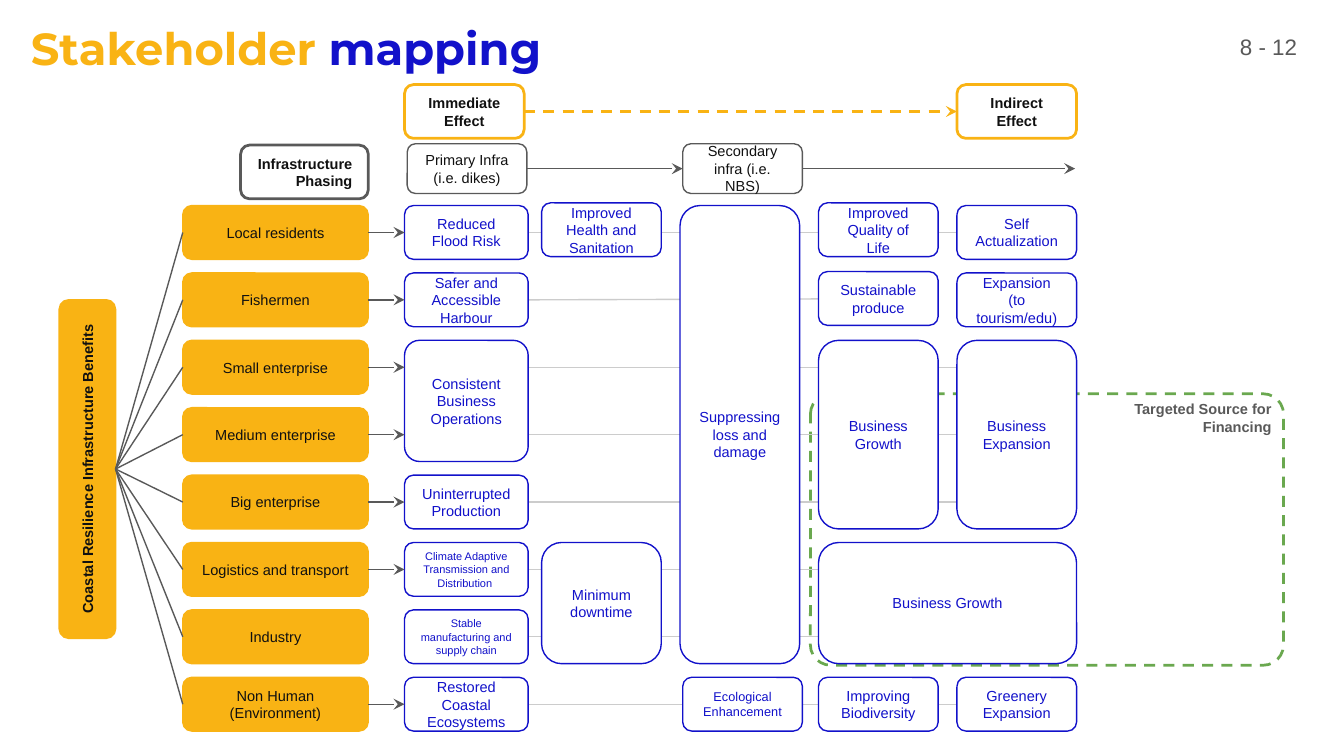
from lxml.etree import SubElement
from pptx import Presentation
from pptx.dml.color import RGBColor
from pptx.enum.dml import MSO_LINE
from pptx.enum.shapes import MSO_CONNECTOR, MSO_SHAPE
from pptx.enum.text import MSO_ANCHOR, MSO_AUTO_SIZE, PP_ALIGN
from pptx.oxml.ns import qn
from pptx.util import Inches, Pt

THEME = {
    "amber": "F9B314", "blue": "1211CA", "ink": "101010", "grey": "595959",
    "pale": "CCCCCC", "green": "6AA84F", "white": "FFFFFF",
    "title_font": "Montserrat", "body_font": "Arial",
    "title": 24, "page": 12, "body": 7.8, "small": 6.8, "tiny": 5.9,
    "thin": 0.73, "border": 0.75, "thick": 1.47,
}

STAKEHOLDERS = [
    "Local residents", "Fishermen", "Small enterprise", "Medium enterprise",
    "Big enterprise", "Logistics and transport", "Industry", "Non Human (Environment)",
]
ROWS_WITHOUT_ARROW = {6}

# text, column, first row, row count, extra settings
BENEFITS = [
    ("Reduced Flood Risk", 0, 0, 1, {}),
    ("Safer and Accessible Harbour", 0, 1, 1, {}),
    ("Consistent Business Operations", 0, 2, 2, {"corner": 0.124}),
    ("Uninterrupted Production", 0, 4, 1, {}),
    ("Climate Adaptive Transmission and Distribution ", 0, 5, 1, {"size": "tiny"}),
    ("Stable manufacturing and supply chain", 0, 6, 1, {"size": "tiny"}),
    ("Restored Coastal Ecosystems", 0, 7, 1, {}),
    ("Improved Health and Sanitation", 1, 0, 1, {"shift": (0, -0.02)}),
    ("Minimum downtime", 1, 5, 2, {}),
    ("Suppressing loss and damage", 2, 0, 7, {}),
    ("Ecological Enhancement", 2, 7, 1, {"size": "small", "shift": (0.02, 0)}),
    ("Improved Quality of Life", 3, 0, 1, {"shift": (0, -0.02)}),
    ("Sustainable produce", 3, 1, 1, {"shift": (0, -0.01)}),
    ("Business Growth", 3, 2, 3, {}),
    ("Business Growth", 3, 5, 2, {"last_column": 4}),
    ("Improving Biodiversity", 3, 7, 1, {}),
    ("Self Actualization", 4, 0, 1, {}),
    ("Expansion (to tourism/edu)", 4, 1, 1, {}),
    ("Business Expansion", 4, 2, 3, {}),
    ("Greenery Expansion", 4, 7, 1, {}),
]

# text, position, line colour, line width, bold, alignment
HEADERS = [
    ("Infrastructure Phasing", (1.79, 1.08, 0.95, 0.4), "grey", "thick", True, PP_ALIGN.RIGHT),
    ("Immediate Effect", (3.01, 0.63, 0.89, 0.4), "amber", "thick", True, PP_ALIGN.CENTER),
    ("Indirect Effect", (7.12, 0.63, 0.89, 0.4), "amber", "thick", True, PP_ALIGN.CENTER),
    ("Primary Infra (i.e. dikes)", (3.03, 1.07, 0.89, 0.37), "grey", "thin", False, PP_ALIGN.CENTER),
    ("Secondary infra (i.e. NBS)", (5.08, 1.07, 0.89, 0.37), "grey", "thin", False, PP_ALIGN.CENTER),
]
EFFECT_MIDDLE = 0.63 + 0.4 / 2
PHASE_MIDDLE = 1.07 + 0.37 / 2

ROW_TOP, ROW_HEIGHT = 1.53, 0.4
ROW_PITCH = (5.04 - ROW_TOP) / (len(STAKEHOLDERS) - 1)
COLUMNS = [(3.01, 0.92), (4.03, 0.89), (5.06, 0.89), (6.09, 0.89), (7.12, 0.89)]
STAKEHOLDER_LEFT, STAKEHOLDER_WIDTH = 1.36, 1.38
STAKEHOLDER_RIGHT = STAKEHOLDER_LEFT + STAKEHOLDER_WIDTH
BAR_EDGE = (0.86, 3.49)
GRID_LEFT = sum(COLUMNS[0])
LEFT, BOTTOM, RIGHT = 1, 2, 3


def color(name):
    return RGBColor.from_string(THEME[name])


def row_middle(row):
    return ROW_TOP + row * ROW_PITCH + ROW_HEIGHT / 2


def set_format(target, values):
    for name, value in values.items():
        setattr(target, name, value)


def add_run(paragraph, text, ink="ink", size="body", bold=False, font="body_font"):
    run = paragraph.add_run()
    run.text = text
    set_format(run.font, {"name": THEME[font], "size": Pt(THEME[size]), "bold": bold})
    run.font.color.rgb = color(ink)


def set_text(shape, text, align=PP_ALIGN.CENTER, anchor=MSO_ANCHOR.MIDDLE, **font):
    inset = Inches(0.1)
    set_format(shape.text_frame, {
        "word_wrap": True, "vertical_anchor": anchor, "margin_left": inset,
        "margin_right": inset, "margin_top": inset, "margin_bottom": inset})
    paragraph = shape.text_frame.paragraphs[0]
    paragraph.alignment = align
    add_run(paragraph, text, **font)


def add_box(slide, position, line, fill=None, width="border", corner=0.167):
    shape = slide.shapes.add_shape(MSO_SHAPE.ROUNDED_RECTANGLE, *map(Inches, position))
    shape.shadow.inherit = False
    shape.adjustments[0] = corner
    if fill:
        shape.fill.solid()
        shape.fill.fore_color.rgb = color(fill)
    else:
        shape.fill.background()
    shape.line.color.rgb = color(line)
    shape.line.width = Pt(THEME[width])
    return shape


def add_line(slide, start, finish, ink="grey", width="thin", arrow=False,
             dashed=False, begin=None, end=None):
    """Draw a straight connector; begin and end are optional (shape, site) joints."""
    line = slide.shapes.add_connector(MSO_CONNECTOR.STRAIGHT, *map(Inches, start + finish))
    line.line.color.rgb = color(ink)
    line.line.width = Pt(THEME[width])
    if dashed:
        line.line.dash_style = MSO_LINE.DASH
    if arrow:
        SubElement(line.line._get_or_add_ln(), qn("a:tailEnd"), type="stealth")
    SubElement(line._element.spPr, qn("a:effectLst"))
    if begin:
        line.begin_connect(*begin)
    if end:
        line.end_connect(*end)
    return line


def add_title(slide):
    title = slide.shapes.title
    set_format(title, dict(zip(("left", "top", "width", "height"),
                               map(Inches, (0.23, 0.19, 10.22, 0.38)))))
    set_format(title.text_frame, {
        "margin_left": 0, "margin_right": 0, "margin_top": 0, "margin_bottom": 0,
        "vertical_anchor": MSO_ANCHOR.TOP, "word_wrap": True,
        "auto_size": MSO_AUTO_SIZE.SHAPE_TO_FIT_TEXT})
    paragraph = title.text_frame.paragraphs[0]
    set_format(paragraph, {"alignment": PP_ALIGN.LEFT, "line_spacing": 0.94})
    for text, ink in (("Stakeholder ", "amber"), ("mapping", "blue")):
        add_run(paragraph, text, ink, "title", True, "title_font")


def add_benefits(slide):
    """Draw the benefit boxes and return the one-row boxes by (column, row)."""
    single_row = {}
    for text, column, row, rows, extra in BENEFITS:
        shift_x, shift_y = extra.get("shift", (0, 0))
        left = COLUMNS[column][0]
        width = sum(COLUMNS[extra.get("last_column", column)]) - left
        height = (rows - 1) * ROW_PITCH + ROW_HEIGHT
        position = (left + shift_x, ROW_TOP + row * ROW_PITCH + shift_y, width, height)
        box = add_box(slide, position, "blue", "white", corner=extra.get("corner", 0.167))
        set_text(box, text, ink="blue", size=extra.get("size", "body"))
        if rows == 1:
            single_row[column, row] = box
    return single_row


def add_rows(slide, frame, bar, benefits):
    for row, name in enumerate(STAKEHOLDERS):
        middle = row_middle(row)
        box = add_box(slide, (STAKEHOLDER_LEFT, middle - ROW_HEIGHT / 2,
                              STAKEHOLDER_WIDTH, ROW_HEIGHT), "amber", "amber")
        set_text(box, name)
        first = benefits.get((0, row))
        last_column = 3 if row == 1 else 4
        last = benefits.get((last_column, row))

        guide = add_line(slide, (GRID_LEFT, middle), (sum(COLUMNS[last_column]), middle), "pale",
                         begin=first and (first, RIGHT), end=last and (last, RIGHT))
        frame._element.addnext(guide._element)  # behind the boxes

        if row not in ROWS_WITHOUT_ARROW:
            add_line(slide, (STAKEHOLDER_RIGHT, middle), (COLUMNS[0][0], middle), arrow=True,
                     begin=(box, RIGHT), end=first and (first, LEFT))
        spoke = add_line(slide, BAR_EDGE, (STAKEHOLDER_LEFT, middle),
                         begin=(bar, BOTTOM), end=(box, LEFT))
        # The bar is turned, so its bottom site lies on the right-hand edge
        set_format(spoke, {"begin_x": Inches(BAR_EDGE[0]), "begin_y": Inches(BAR_EDGE[1])})


def add_headers(slide):
    boxes = []
    for text, position, line, width, bold, align in HEADERS:
        box = add_box(slide, position, line, width=width)
        set_text(box, text, align, bold=bold)
        boxes.append(box)
    _, immediate, indirect, primary, secondary = boxes
    add_line(slide, (3.9, EFFECT_MIDDLE), (7.12, EFFECT_MIDDLE), "amber", "thick", arrow=True,
             dashed=True, begin=(immediate, RIGHT), end=(indirect, LEFT))
    add_line(slide, (3.92, PHASE_MIDDLE), (5.08, PHASE_MIDDLE), arrow=True,
             begin=(primary, RIGHT), end=(secondary, LEFT))
    add_line(slide, (5.97, PHASE_MIDDLE), (8, PHASE_MIDDLE), arrow=True,
             begin=(secondary, RIGHT))


def add_label(slide, position, text, **style):
    label = slide.shapes.add_textbox(*map(Inches, position))
    set_text(label, text, PP_ALIGN.RIGHT, ink="grey", **style)


def main():
    presentation = Presentation()
    width = Inches(10)
    set_format(presentation, {"slide_width": width, "slide_height": width * 9 // 16})
    slide = presentation.slides.add_slide(presentation.slide_layouts[5])
    add_title(slide)
    frame = add_box(slide, (6.03, 2.93, 3.52, 2.02), "green", width="thick", corner=0.075)
    frame.line.dash_style = MSO_LINE.DASH
    bar = add_box(slide, (-0.61, 3.28, 2.52, 0.42), "amber", "amber")
    bar.rotation = 270
    set_text(bar, "Coastal Resilience Infrastructure Benefits", bold=True)
    add_rows(slide, frame, bar, add_benefits(slide))
    add_headers(slide)
    add_label(slide, (8.1, 2.88, 1.46, 0.46), "Targeted Source for Financing",
              anchor=MSO_ANCHOR.TOP, bold=True)
    add_label(slide, (9.02, 0.13, 0.73, 0.43), "8 - 12", size="page")
    presentation.save("out.pptx")


if __name__ == "__main__":
    main()
